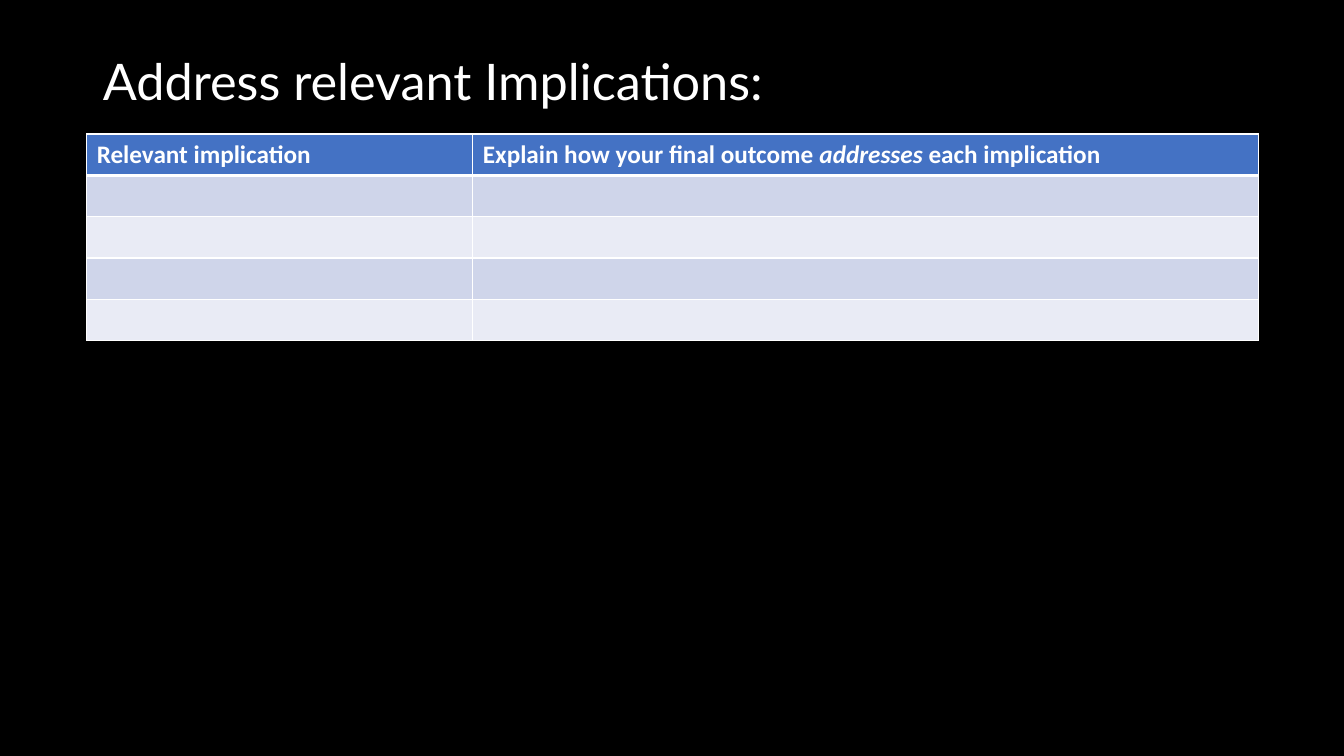
from lxml import etree
from pptx import Presentation
from pptx.dml.color import RGBColor
from pptx.enum import text
from pptx.oxml import ns
from pptx.util import Inches, Pt

BLACK = RGBColor(0x00, 0x00, 0x00)
WHITE = RGBColor(0xFF, 0xFF, 0xFF)
HEADER_BLUE = RGBColor(0x44, 0x72, 0xC4)
BAND_DARK = RGBColor(0xCF, 0xD5, 0xEA)
BAND_LIGHT = RGBColor(0xE9, 0xEB, 0xF5)

COLUMN_WIDTHS = [3.83, 7.79]
ROW_COUNT = 5
ROW_HEIGHT = 0.41
# Each header cell is a list of (words, italic) runs
HEADERS = [
    [("Relevant implication", False)],
    [("Explain how your final outcome ", False), ("addresses", True),
     (" each implication", False)],
]


def add_run(paragraph, words, font_name, size):
    run = paragraph.add_run()
    run.text = words
    run.font.name = font_name
    run.font.size = Pt(size)
    run.font.color.rgb = WHITE
    return run


def set_border(cell, side, width):
    properties = cell._tc.get_or_add_tcPr()
    line = etree.SubElement(properties, ns.qn(f"a:ln{side}"), w=str(Pt(width)))
    fill = etree.SubElement(line, ns.qn("a:solidFill"))
    etree.SubElement(fill, ns.qn("a:srgbClr"), val=str(WHITE))


presentation = Presentation()
presentation.slide_width = Inches(13.33)
presentation.slide_height = Inches(7.5)
slide = presentation.slides.add_slide(presentation.slide_layouts[5])
slide.background.fill.solid()
slide.background.fill.fore_color.rgb = BLACK

# Title
title = slide.shapes.title
title.left, title.top = Inches(0.92), Inches(0.4)
title.width, title.height = Inches(11.5), Inches(0.7)
title.text_frame.auto_size = text.MSO_AUTO_SIZE.NONE
title.text_frame.vertical_anchor = text.MSO_ANCHOR.MIDDLE
heading = title.text_frame.paragraphs[0]
heading.alignment = text.PP_ALIGN.LEFT
heading.line_spacing = 1.15
add_run(heading, "Address relevant Implications:", "Lato", 36)

# Implications table
table = slide.shapes.add_table(
    ROW_COUNT, len(COLUMN_WIDTHS), Inches(0.86), Inches(1.33),
    Inches(sum(COLUMN_WIDTHS)), Inches(ROW_COUNT * ROW_HEIGHT)).table
for column, width in zip(table.columns, COLUMN_WIDTHS):
    column.width = Inches(width)

# Borders and banded fills
for row_index, row in enumerate(table.rows):
    row.height = Inches(ROW_HEIGHT)
    if row_index == 0:
        color = HEADER_BLUE
    else:
        color = BAND_DARK if row_index % 2 else BAND_LIGHT
    for cell in row.cells:
        for side in "LRTB":
            under_header = (row_index, side) in [(0, "B"), (1, "T")]
            set_border(cell, side, 3 if under_header else 1)
        cell.fill.solid()
        cell.fill.fore_color.rgb = color

# Header text
for cell, runs in zip(table.rows[0].cells, HEADERS):
    for words, italic in runs:
        run = add_run(cell.text_frame.paragraphs[0], words, "Calibri", 18)
        run.font.bold = True
        run.font.italic = italic

presentation.save("out.pptx")
